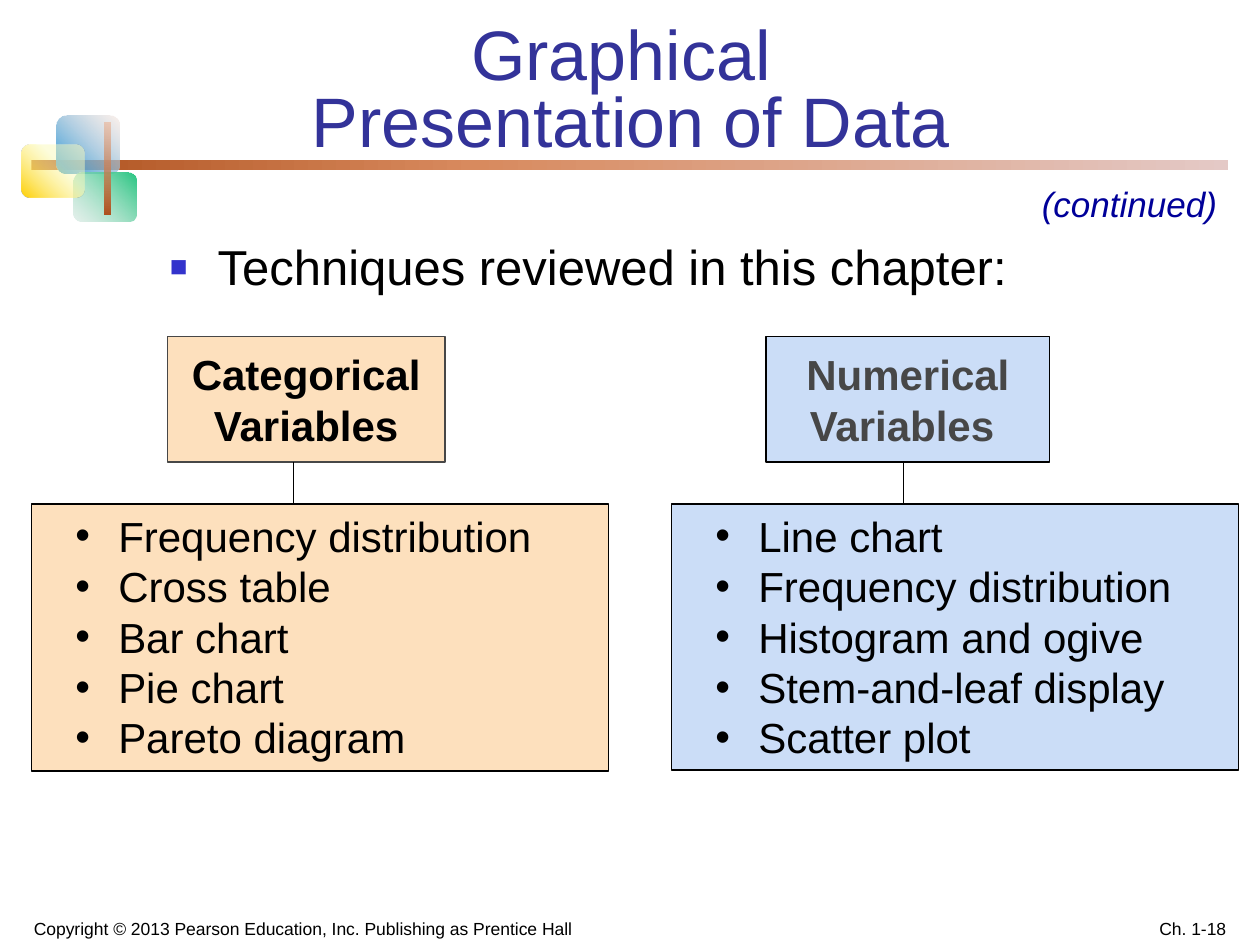
import pptx
import pptx.util
import pptx.oxml
import pptx.oxml.ns
import pptx.dml.color
import pptx.enum.shapes
import pptx.enum.text

Inches, Pt = pptx.util.Inches, pptx.util.Pt
RGB = pptx.dml.color.RGBColor.from_string
SHAPE = pptx.enum.shapes.MSO_SHAPE
ALIGN, ANCHOR = pptx.enum.text.PP_ALIGN, pptx.enum.text.MSO_ANCHOR
NS = pptx.oxml.ns.nsdecls("a")

THEME = {
    "font": "Arial",
    "title": "333399", "text": "000000", "gray": "474747",
    "accent": "000099", "bullet": "3333CC",
    "orange": "FDE0BD", "blue": "CBDDF7",
    "title_size": 40, "body_size": 28, "box_size": 24,
    "note_size": 20, "footer_size": 10,
}


def add_text(p, text, size, color, align=ALIGN.LEFT, **styles):
    """Fill a paragraph with text and format it."""
    p.text = text
    p.alignment = align
    values = {"name": THEME["font"], "size": Pt(size), **styles}
    for r in p.runs:
        for key, value in values.items():
            setattr(r.font, key, value)
        r.font.color.rgb = RGB(color)


def add_bullet(p, char, margin, indent, extra=""):
    """Give a paragraph a hanging bullet."""
    pPr = p._p.get_or_add_pPr()
    pPr.set("marL", str(Inches(margin)))
    pPr.set("indent", str(Inches(indent)))
    xml = f'<a:pPr {NS}>{extra}<a:buFont typeface="Arial"/><a:buChar char="{char}"/></a:pPr>'
    for element in list(pptx.oxml.parse_xml(xml)):
        pPr.append(element)


prs = pptx.Presentation()
prs.slide_width, prs.slide_height = Inches(10), Inches(7.5)
s = prs.slides.add_slide(prs.slide_layouts[5])

# Decoration: left, top, width, height, corner, angle, (position, color, alpha) stops
decoration = [
    (0.25, 1.27, 9.5, 0.08, 0, 0, [(0, "AE511E", 100), (37, "D88A5E", 100), (100, "E4C9C6", 100)]),
    (0.45, 0.92, 0.5, 0.46, 0.17, 315, [(0, "2895D8", 100), (100, "F7E2D9", 50)]),
    (0.58, 1.37, 0.5, 0.39, 0.17, 135, [(0, "25C580", 100), (100, "CCE2D9", 50)]),
    (0.17, 1.15, 0.5, 0.42, 0.17, 315, [(0, "FFCF01", 100), (63, "FCFCBC", 50)]),
    (0.83, 0.97, 0.05, 0.73, 0, 270, [(0, "AE511E", 100), (100, "EAA782", 50)]),
]
for left, top, width, height, corner, angle, stops in decoration:
    sp = s.shapes.add_shape(SHAPE.ROUNDED_RECTANGLE, Inches(left), Inches(top), Inches(width), Inches(height))
    sp.adjustments[0] = corner
    sp.shadow.inherit = False
    sp.line.fill.background()
    sp.fill.gradient()
    gs = "".join(
        f'<a:gs pos="{pos * 1000}"><a:srgbClr val="{color}"><a:alpha val="{alpha * 1000}"/></a:srgbClr></a:gs>'
        for pos, color, alpha in stops)
    grad = pptx.oxml.parse_xml(
        f'<a:gradFill {NS} rotWithShape="1"><a:gsLst>{gs}</a:gsLst>'
        f'<a:lin ang="{angle * 60000}" scaled="0"/></a:gradFill>')
    spPr = sp._element.spPr
    spPr.replace(spPr.find(pptx.oxml.ns.qn("a:gradFill")), grad)

# Title
title = s.shapes.title
title.left, title.top, title.width, title.height = Inches(1.17), Inches(0.08), Inches(7.67), Inches(1.25)
tf = title.text_frame
tf.word_wrap = True
tf.auto_size = pptx.enum.text.MSO_AUTO_SIZE.NONE
tf.vertical_anchor = ANCHOR.BOTTOM
add_text(tf.paragraphs[0], "Graphical \vPresentation of Data", THEME["title_size"], THEME["title"], ALIGN.CENTER)
tf.paragraphs[0].line_spacing = 0.8

# Lead line, note and footers
texts = [
    (1.25, 1.83, 8.5, 0.6, "Techniques reviewed in this chapter:", "body_size", "text", ALIGN.LEFT, ANCHOR.TOP, {}),
    (8.17, 1.4, 1.67, 0.43, "(continued)", "note_size", "accent", ALIGN.LEFT, ANCHOR.TOP, {"italic": True}),
    (0.17, 7.15, 5.33, 0.35, "Copyright © 2013 Pearson Education, Inc. Publishing as Prentice Hall",
     "footer_size", "text", ALIGN.LEFT, ANCHOR.BOTTOM, {}),
    (7.5, 7.15, 2.33, 0.35, "Ch. 1-18", "footer_size", "text", ALIGN.RIGHT, ANCHOR.BOTTOM, {}),
]
for left, top, width, height, text, size, color, align, anchor, styles in texts:
    tf = s.shapes.add_textbox(Inches(left), Inches(top), Inches(width), Inches(height)).text_frame
    tf.word_wrap = True
    tf.vertical_anchor = anchor
    p = tf.paragraphs[0]
    if size == "body_size":
        add_bullet(p, "■", 0.38, -0.38,
                   f'<a:buClr><a:srgbClr val="{THEME["bullet"]}"/></a:buClr><a:buSzPct val="60000"/>')
    add_text(p, text, THEME[size], THEME[color], align, **styles)

# Two branches: heading box, list box and the line between them
branches = [
    {"fill": "orange", "head": (1.33, 2.2), "list": (0.25, 4.58, 2.12), "line_x": 2.33,
     "edge": "gray", "color": "text", "heading": ["Categorical", "Variables"],
     "items": ["Frequency distribution", "Cross table", "Bar chart", "Pie chart", "Pareto diagram"]},
    {"fill": "blue", "head": (6.08, 2.25), "list": (5.33, 4.5, 2.11), "line_x": 7.17,
     "edge": "text", "color": "gray", "heading": ["Numerical", "Variables "],
     "items": ["Line chart", "Frequency distribution", "Histogram and ogive",
               "Stem-and-leaf display", "Scatter plot"]},
]
for b in branches:
    head_left, head_width = b["head"]
    list_left, list_width, list_height = b["list"]
    boxes = [
        (head_left, 2.67, head_width, 1, b["edge"], b["heading"], False),
        (list_left, 4, list_width, list_height, "text", b["items"], True),
    ]
    for left, top, width, height, edge, lines, bulleted in boxes:
        sp = s.shapes.add_shape(SHAPE.RECTANGLE, Inches(left), Inches(top), Inches(width), Inches(height))
        sp.shadow.inherit = False
        sp.fill.solid()
        sp.fill.fore_color.rgb = RGB(THEME[b["fill"]])
        sp.line.color.rgb = RGB(THEME[edge])
        sp.line.width = Pt(1)
        tf = sp.text_frame
        tf.word_wrap = bulleted
        tf.vertical_anchor = ANCHOR.TOP if bulleted else ANCHOR.MIDDLE
        for i, line in enumerate(lines):
            p = tf.add_paragraph() if i else tf.paragraphs[0]
            if bulleted:
                add_bullet(p, "•", 0.59, -0.34)
                add_text(p, line, THEME["box_size"], THEME["text"])
            else:
                add_text(p, line, THEME["box_size"], THEME[b["color"]], ALIGN.CENTER, bold=True)

    x = Inches(b["line_x"])
    cxn = s.shapes.add_connector(pptx.enum.shapes.MSO_CONNECTOR.STRAIGHT, x, Inches(3.67), x, Inches(4))
    cxn.line.color.rgb = RGB(THEME["text"])
    cxn.line.width = Pt(0.75)
    cxn._element.spPr.append(pptx.oxml.parse_xml(f"<a:effectLst {NS}/>"))

prs.save("out.pptx")
